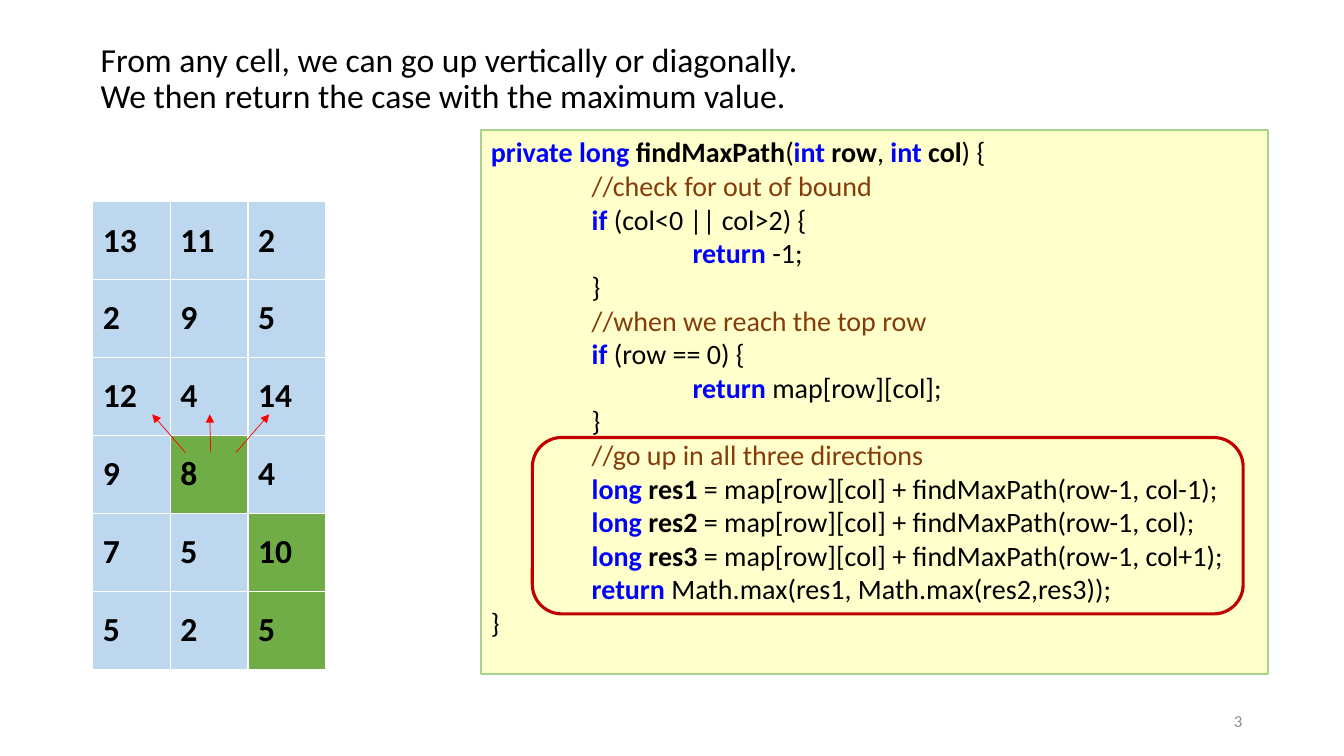
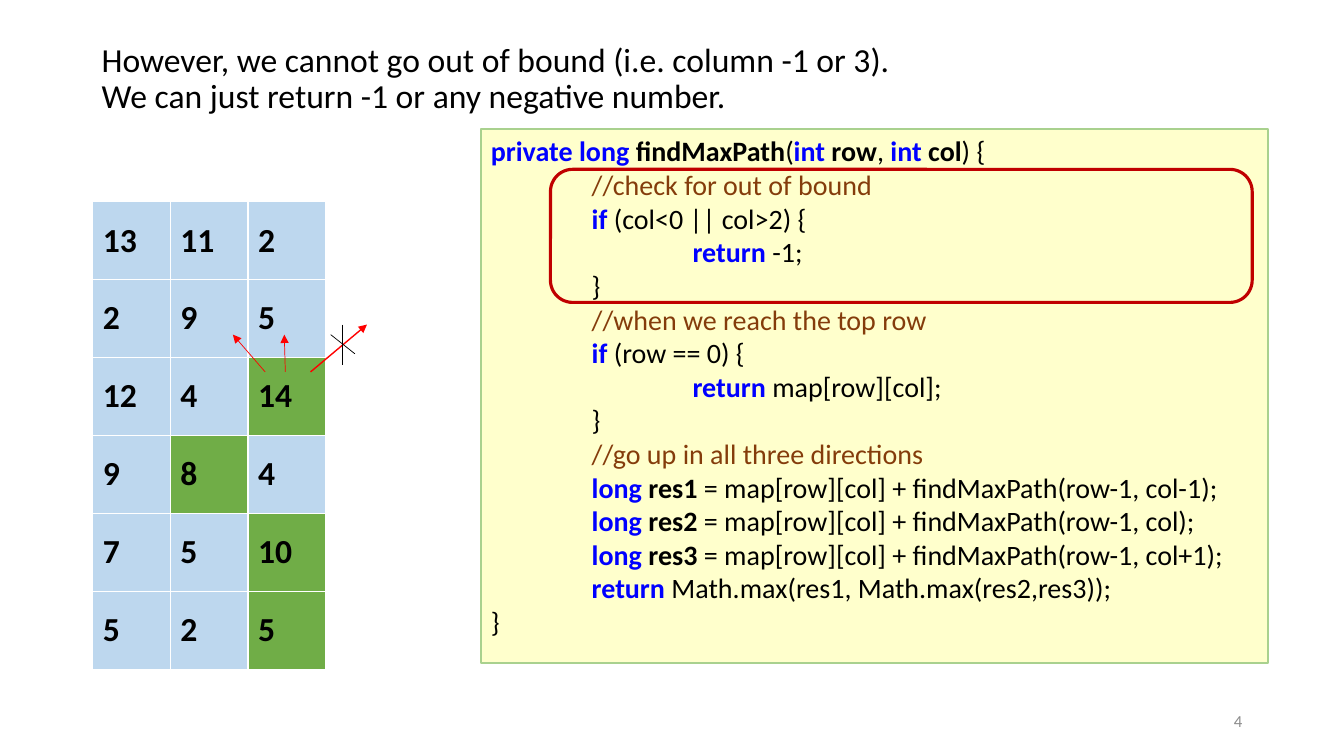
import dataclasses

import lxml.etree
import pptx
import pptx.dml.color
import pptx.enum.shapes
import pptx.enum.text
import pptx.oxml.ns
import pptx.util

Inches = pptx.util.Inches
Pt = pptx.util.Pt
MIDDLE = pptx.enum.text.MSO_ANCHOR.MIDDLE
RGB = pptx.dml.color.RGBColor.from_string


@dataclasses.dataclass(frozen=True)
class Theme:
    font: str = "Calibri"
    title_size: int = 24
    cell_size: int = 24
    code_size: int = 20
    number_size: int = 12
    text: str = "000000"
    keyword: str = "0000FF"
    comment: str = "843C0B"
    number: str = "8C8C8C"
    code_fill: str = "FFFFCC"
    code_line: str = "A9D18E"
    cell: str = "BDD7EE"
    visited: str = "70AD47"
    arrow: str = "FF0000"
    highlight: str = "C00000"


theme = Theme()

# Run styles: colour and bold
PLAIN = (theme.text, False)
NAME = (theme.text, True)
KEYWORD = (theme.keyword, True)
COMMENT = (theme.comment, False)
NUMBER = (theme.number, False)

# Java method: indent in inches, then the runs of the line
CODE = [
    (0, [("private long ", KEYWORD), ("findMaxPath", NAME), ("(", PLAIN), ("int ", KEYWORD),
         ("row", NAME), (", ", PLAIN), ("int ", KEYWORD), ("col", NAME), (") {", PLAIN)]),
    (1, [("//check for out of bound", COMMENT)]),
    (1, [("if ", KEYWORD), ("(col<0 || col>2) {", PLAIN)]),
    (2, [("return ", KEYWORD), ("-1;", PLAIN)]),
    (1, [("}", PLAIN)]),
    (1, [("//when we reach the top row", COMMENT)]),
    (1, [("if ", KEYWORD), ("(row == 0) {", PLAIN)]),
    (2, [("return ", KEYWORD), ("map[row][col];", PLAIN)]),
    (1, [("}", PLAIN)]),
    (1, [("//go up in all three directions", COMMENT)]),
    *[(1, [("long ", KEYWORD), (f"res{index}", NAME),
           (f" = map[row][col] + findMaxPath(row-1, {column});", PLAIN)])
      for index, column in enumerate(["col-1", "col", "col+1"], start=1)],
    (1, [("return ", KEYWORD), ("Math.max(res1, Math.max(res2,res3));", PLAIN)]),
    (0, [("}", PLAIN)]),
]

GRID = [[13, 11, 2], [2, 9, 5], [12, 4, 14], [9, 8, 4], [7, 5, 10], [5, 2, 5]]

# What differs between the slides; titles are (left, top, height, lines),
# lines are (start, end, width)
SLIDES = [
    dict(
        number=3,
        titles=[
            (0.9, 0.37, 0.49, ["From any cell, we can go up vertically or diagonally."]),
            (0.9, 0.72, 0.49, ["We then return the case with the maximum value."]),
        ],
        code_box=(4.77, 1.29, 7.81, 5.4),
        highlight=(5.28, 4.34, 7.05, 1.75),
        visited={(3, 1), (4, 2), (5, 2)},
        arrows=[
            ((1.84, 4.49), (1.51, 4.11), 0.5),
            ((2.09, 4.49), (2.08, 4.11), 0.5),
            ((2.34, 4.49), (2.67, 4.11), 0.5),
        ],
        cross=[],
    ),
    dict(
        number=4,
        titles=[
            (0.91, 0.4, 0.78, ["However, we cannot go out of bound (i.e. column -1 or 3). ",
                               "We can just return -1 or any negative number."]),
        ],
        code_box=(4.77, 1.28, 7.81, 5.3),
        highlight=(5.46, 1.68, 6.96, 1.32),
        visited={(2, 2), (3, 1), (4, 2), (5, 2)},
        arrows=[
            ((2.63, 3.69), (2.31, 3.32), 0.5),
            ((2.83, 3.69), (2.82, 3.32), 0.5),
            ((3.08, 3.69), (3.64, 3.22), 1),
        ],
        cross=[((3.28, 3.32), (3.52, 3.51), 0.5), ((3.4, 3.22), (3.4, 3.62), 0.5)],
    ),
]


def add_run(paragraph, text, size, style):
    run = paragraph.add_run()
    run.text = text
    run.font.name = theme.font
    run.font.size = Pt(size)
    run.font.color.rgb = RGB(style[0])
    run.font.bold = style[1]


def add_line(slide, start, end, width, color, arrow):
    connector = slide.shapes.add_connector(
        pptx.enum.shapes.MSO_CONNECTOR.STRAIGHT, *map(Inches, start + end))
    connector.line.width = Pt(width)
    connector.line.color.rgb = RGB(color)
    properties = connector.element.spPr
    if arrow:
        outline = properties.find(pptx.oxml.ns.qn("a:ln"))
        lxml.etree.SubElement(outline, pptx.oxml.ns.qn("a:tailEnd"), type="triangle")
    lxml.etree.SubElement(properties, pptx.oxml.ns.qn("a:effectLst"))


presentation = pptx.Presentation()
presentation.slide_width = Inches(13.33)
presentation.slide_height = Inches(7.5)

for content in SLIDES:
    slide = presentation.slides.add_slide(presentation.slide_layouts[6])

    # Title
    for left, top, height, lines in content["titles"]:
        title = slide.shapes.add_textbox(Inches(left), Inches(top), Inches(11.52), Inches(height))
        title.text_frame.word_wrap = True
        title.text_frame.vertical_anchor = MIDDLE
        paragraph = title.text_frame.paragraphs[0]
        paragraph.line_spacing = 0.9
        for index, line in enumerate(lines):
            if index:
                paragraph.add_line_break()
            add_run(paragraph, line, theme.title_size, PLAIN)

    # Code box
    code_box = slide.shapes.add_shape(
        pptx.enum.shapes.MSO_SHAPE.RECTANGLE, *map(Inches, content["code_box"]))
    code_box.shadow.inherit = False
    code_box.fill.solid()
    code_box.fill.fore_color.rgb = RGB(theme.code_fill)
    code_box.line.color.rgb = RGB(theme.code_line)
    code_box.line.width = Pt(1.5)
    frame = code_box.text_frame
    frame.word_wrap = True
    frame.vertical_anchor = pptx.enum.text.MSO_ANCHOR.TOP
    for index, (indent, runs) in enumerate(CODE):
        paragraph = frame.add_paragraph() if index else frame.paragraphs[0]
        paragraph.alignment = pptx.enum.text.PP_ALIGN.LEFT
        for text, style in runs:
            add_run(paragraph, text, theme.code_size, style)
    for (indent, runs), properties in zip(CODE, code_box.element.iter(pptx.oxml.ns.qn("a:pPr"))):
        properties.set("marL", str(Inches(indent)))
        properties.set("indent", "0")

    # Number grid, with the visited cells in green
    table = slide.shapes.add_table(
        len(GRID), len(GRID[0]), Inches(0.92), Inches(2), Inches(2.31), Inches(4.64)).table
    for row, values in enumerate(GRID):
        for column, value in enumerate(values):
            cell = table.cell(row, column)
            cell.vertical_anchor = MIDDLE
            cell.fill.solid()
            cell.fill.fore_color.rgb = RGB(
                theme.visited if (row, column) in content["visited"] else theme.cell)
            add_run(cell.text_frame.paragraphs[0], str(value), theme.cell_size, NAME)

    # Moves, and the cross over the forbidden one
    for start, end, width in content["arrows"]:
        add_line(slide, start, end, width, theme.arrow, arrow=True)
    for start, end, width in content["cross"]:
        add_line(slide, start, end, width, theme.text, arrow=False)

    # Highlight around the code being explained
    highlight = slide.shapes.add_shape(
        pptx.enum.shapes.MSO_SHAPE.ROUNDED_RECTANGLE, *map(Inches, content["highlight"]))
    highlight.shadow.inherit = False
    highlight.fill.background()
    highlight.line.color.rgb = RGB(theme.highlight)
    highlight.line.width = Pt(2.25)

    # Slide number
    number = slide.shapes.add_textbox(Inches(9.42), Inches(6.95), Inches(3), Inches(0.4))
    number.text_frame.word_wrap = True
    number.text_frame.vertical_anchor = MIDDLE
    paragraph = number.text_frame.paragraphs[0]
    paragraph.alignment = pptx.enum.text.PP_ALIGN.RIGHT
    add_run(paragraph, str(content["number"]), theme.number_size, NUMBER)

presentation.save("out.pptx")
